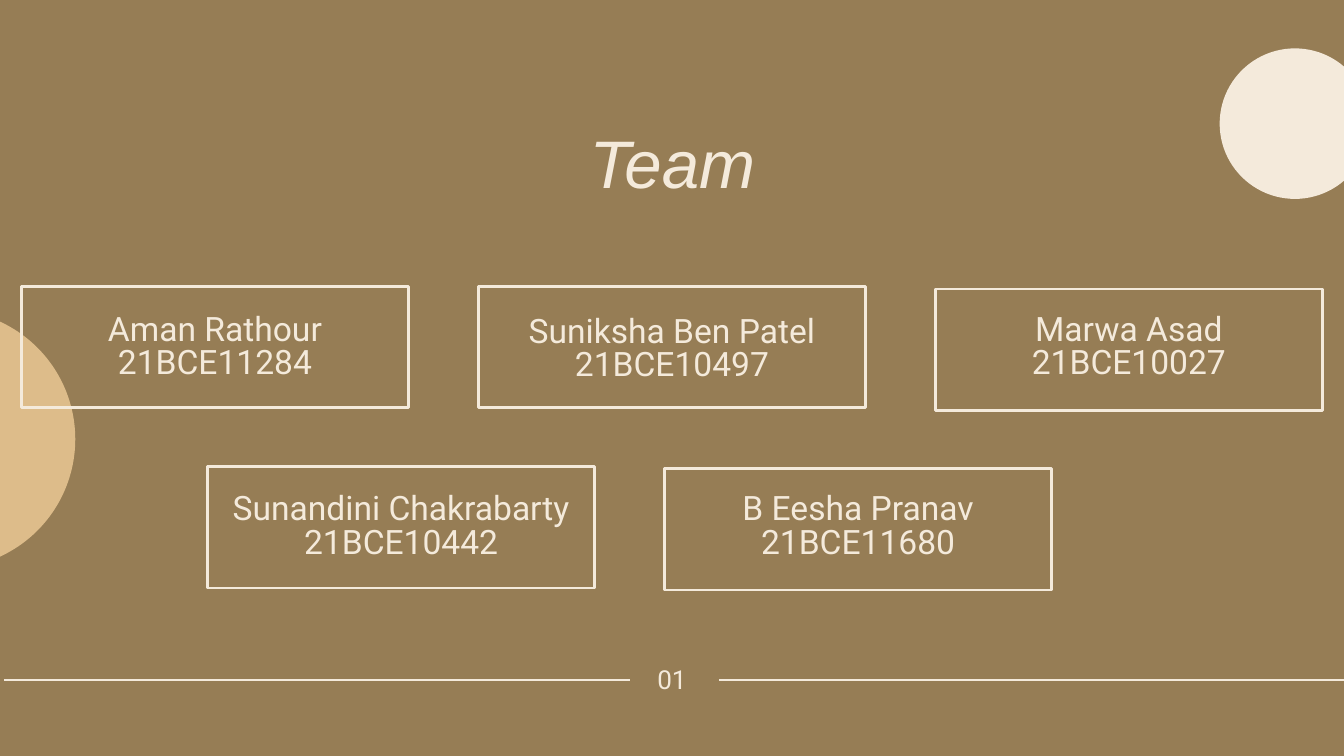
import pptx
import pptx.dml.color
import pptx.enum.shapes
import pptx.enum.text
import pptx.oxml.ns
import pptx.util
from lxml import etree
from pptx.util import Inches

BROWN = "967D55"
CREAM = "F4EADB"
SAND = "DDBC8A"

CARD_WIDTH = 5.76
CARD_HEIGHT = 1.81
CARD_PITCH = 6.8
TEXT_HEIGHT = 1.04
ROWS = [
    (0.32, [
        ("Aman Rathour", "21BCE11284", 4.26, 4.68),
        ("Suniksha Ben Patel", "21BCE10497", 4.26, 4.71),
        ("Marwa Asad", "21BCE10027", 4.3, 4.68),
    ]),
    (3.09, [
        ("Sunandini Chakrabarty", "21BCE10442", 6.94, 7.35),
        ("B Eesha Pranav", "21BCE11680", 6.97, 7.35),
    ]),
]


def colour(hex_string):
    return pptx.dml.color.RGBColor.from_string(hex_string)


def place(shape, left, top, width, height):
    shape.left, shape.top = Inches(left), Inches(top)
    shape.width, shape.height = Inches(width), Inches(height)


def write_text(shape, text, size, spacing, font_name, italic=False):
    frame = shape.text_frame
    frame.word_wrap = True
    frame.auto_size = pptx.enum.text.MSO_AUTO_SIZE.NONE
    frame.vertical_anchor = pptx.enum.text.MSO_ANCHOR.TOP
    frame.margin_left = frame.margin_right = 0
    frame.margin_top = frame.margin_bottom = 0
    frame.text = text
    for paragraph in frame.paragraphs:
        paragraph.alignment = pptx.enum.text.PP_ALIGN.CENTER
        paragraph.line_spacing = pptx.util.Pt(spacing)
        for run in paragraph.runs:
            run.font.name = font_name
            run.font.size = pptx.util.Pt(size)
            run.font.italic = italic
            run.font.color.rgb = colour(CREAM)


def add_text(slide, left, top, width, height, text, size):
    box = slide.shapes.add_textbox(
        Inches(left), Inches(top), Inches(width), Inches(height))
    write_text(box, text, size, size, "Roboto")


def add_title(slide, left, top, width, height):
    title = slide.shapes.title
    place(title, left, top, width, height)
    write_text(title, "Team", 72, 86.4, "Arial", italic=True)


def add_circle(slide, left, top, diameter, fill):
    circle = slide.shapes.add_shape(
        pptx.enum.shapes.MSO_SHAPE.OVAL,
        Inches(left), Inches(top), Inches(diameter), Inches(diameter))
    circle.shadow.inherit = False
    circle.fill.solid()
    circle.fill.fore_color.rgb = colour(fill)
    circle.line.fill.background()


def add_member_card(slide, left, top, text_top, name, number):
    card = slide.shapes.add_shape(
        pptx.enum.shapes.MSO_SHAPE.RECTANGLE,
        Inches(left), Inches(top), Inches(CARD_WIDTH), Inches(CARD_HEIGHT))
    card.shadow.inherit = False
    card.fill.background()
    card.line.color.rgb = colour(CREAM)
    card.line.width = pptx.util.Pt(3)
    add_text(slide, left, text_top, CARD_WIDTH, TEXT_HEIGHT,
             f"{name}\n{number}", 36)


def add_rule(slide, start, end, y):
    rule = slide.shapes.add_connector(
        pptx.enum.shapes.MSO_CONNECTOR.STRAIGHT,
        Inches(start), Inches(y), Inches(end), Inches(y))
    rule.line.color.rgb = colour(CREAM)
    rule.line.width = pptx.util.Pt(3)
    etree.SubElement(rule._element.spPr, pptx.oxml.ns.qn("a:effectLst"))


def add_footer(slide, left, top, width, height):
    add_text(slide, left, top, width, height, "01", 28)
    rule_y = top + 0.17
    add_rule(slide, 0.06, 9.37, rule_y)
    add_rule(slide, 10.7, 20, rule_y)


def main():
    presentation = pptx.Presentation()
    presentation.slide_width = Inches(20)
    presentation.slide_height = Inches(11.25)
    slide = presentation.slides.add_slide(presentation.slide_layouts[5])
    slide.background.fill.solid()
    slide.background.fill.fore_color.rgb = colour(BROWN)

    add_title(slide, 4.72, 1.81, 10.57, 1.27)
    add_circle(slide, 18.15, 0.72, 2.24, CREAM)
    add_circle(slide, -2.73, 4.61, 3.85, SAND)
    for row_left, members in ROWS:
        for column, (name, number, top, text_top) in enumerate(members):
            left = row_left + column * CARD_PITCH
            add_member_card(slide, left, top, text_top, name, number)
    add_footer(slide, 6.38, 9.95, 7.24, 0.41)

    presentation.save("out.pptx")


if __name__ == "__main__":
    main()
